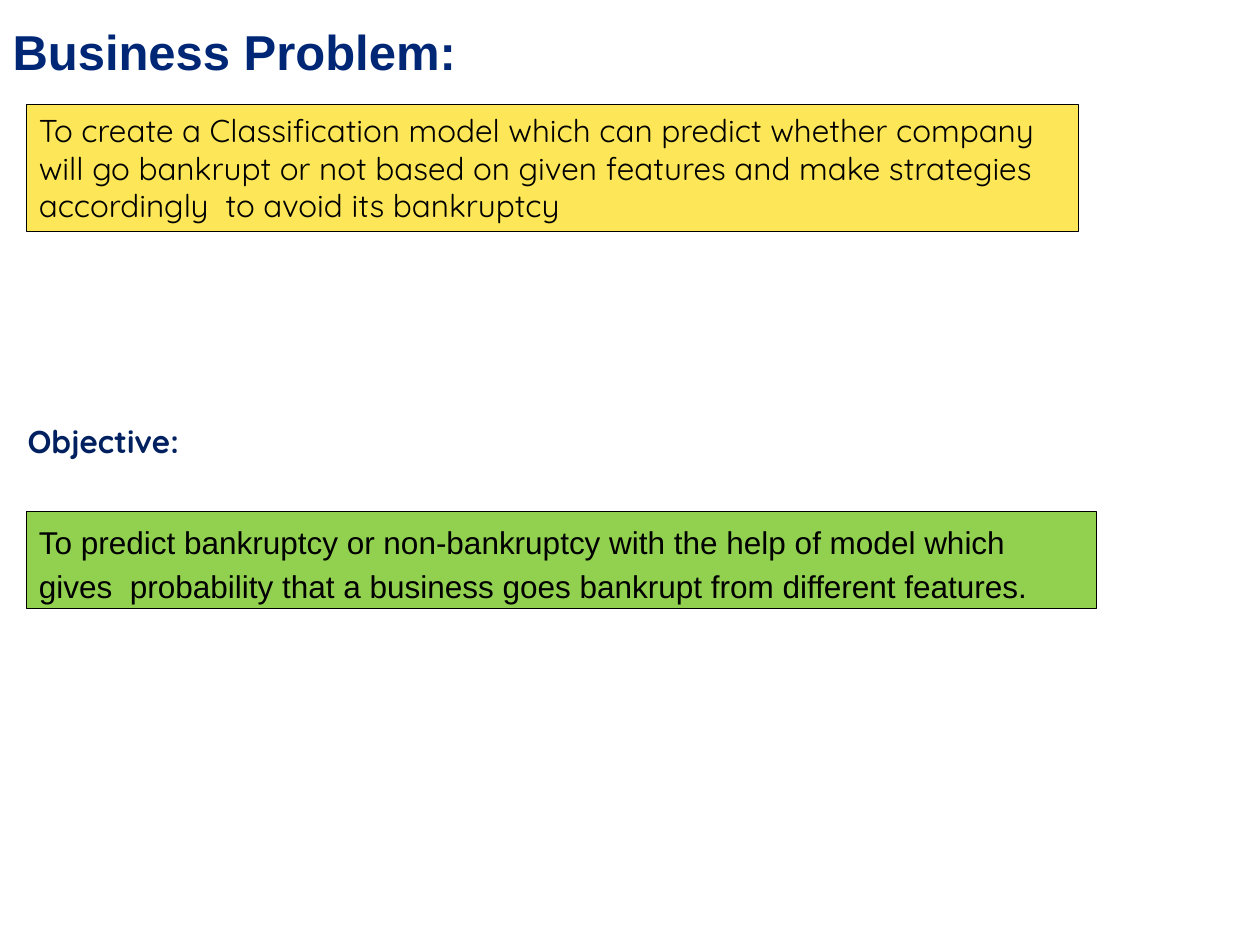
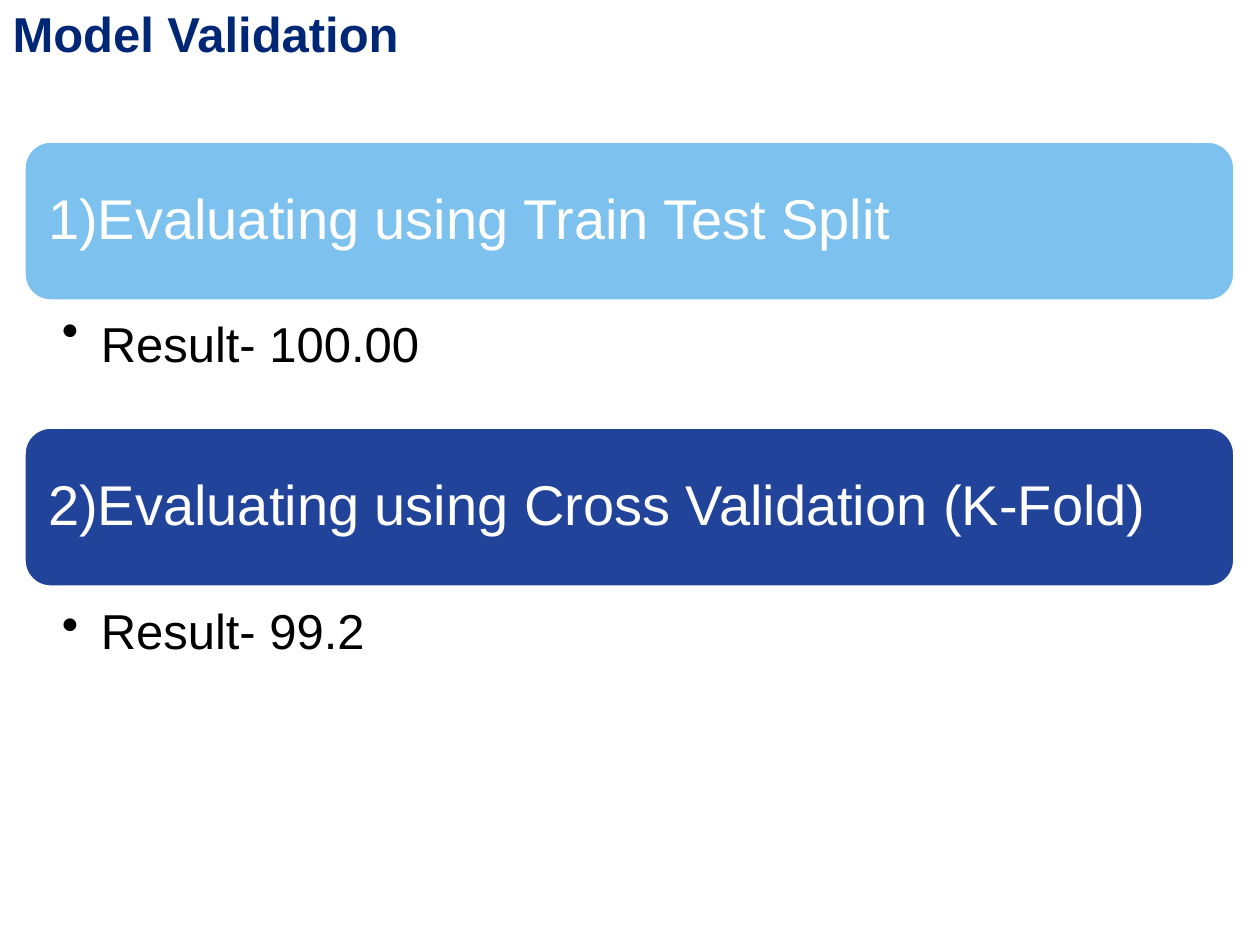
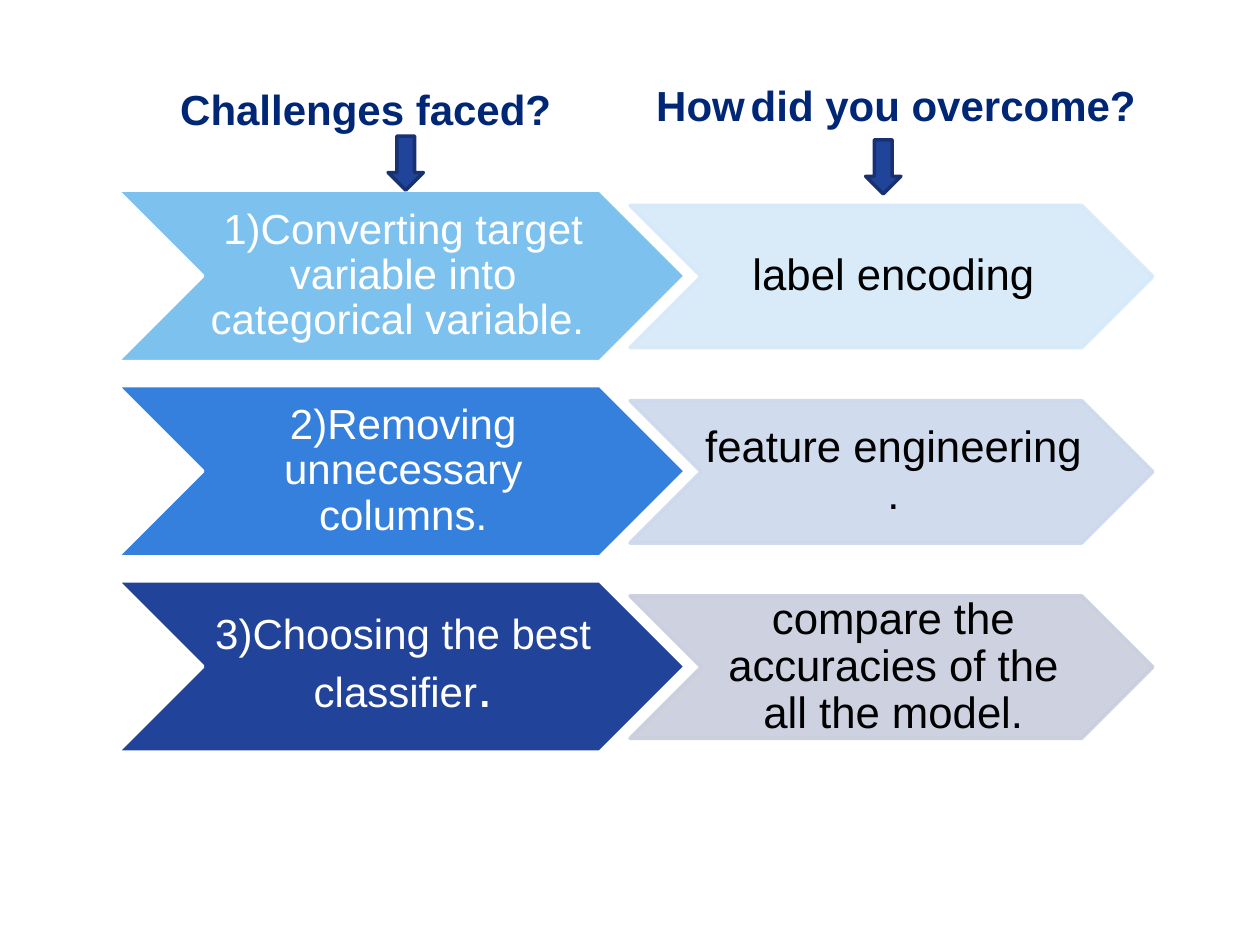
from dataclasses import dataclass

from lxml.etree import SubElement
from pptx import Presentation
from pptx.dml.color import RGBColor
from pptx.enum.shapes import MSO_SHAPE
from pptx.enum.text import MSO_ANCHOR, MSO_AUTO_SIZE, PP_ALIGN
from pptx.oxml.ns import qn
from pptx.util import Inches, Pt


@dataclass(frozen=True)
class Theme:
    font: str = "Arial"
    accent_font: str = "Quicksand"
    heading: str = "002776"
    subheading: str = "002060"
    black: str = "000000"
    white: str = "FFFFFF"
    yellow: str = "FDE657"
    green: str = "92D050"
    sky: str = "7DC1EF"
    blue: str = "357FDD"
    navy: str = "214399"
    pale_sky: str = "D5E9F9"
    pale_blue: str = "CDD8ED"
    pale_navy: str = "C9CDDD"
    arrow: str = "21449B"
    arrow_edge: str = "183171"
    title_size: int = 28
    column_size: int = 24
    note_size: int = 18
    band_size: int = 32
    result_size: int = 28
    answer_size: int = 25
    thin: float = 0.75
    thick: float = 2


THEME = Theme()
TEXT_INSETS = (0.1, 0.05, 0.1, 0.05)
BAND_INSETS = (0.13, 0.13, 0.13, 0.13)
RESULT_INSETS = (0.3, 0.04, 0.22, 0.04)
CHEVRON_INSETS = (0.03, 0.02, 0, 0.02)


class Deck:
    def __init__(self, theme):
        self.theme = theme
        self.presentation = Presentation()
        self.presentation.slide_width = Inches(10)
        self.presentation.slide_height = Inches(7.5)
        self.slide = None

    def title_slide(self, title, box, size):
        """Start a slide whose title placeholder is moved to box."""
        layout = self.presentation.slide_layouts[5]
        self.slide = self.presentation.slides.add_slide(layout)
        heading = self.slide.shapes.title
        heading.left, heading.top, heading.width, heading.height = map(Inches, box)
        self.add_text(heading, [(title, size)], self.theme.heading, bold=True)

    def add_text(self, holder, runs, color, font=None, bold=False, insets=TEXT_INSETS,
                 anchor=MSO_ANCHOR.TOP, align=PP_ALIGN.LEFT, spacing=None):
        """Fill a shape with one paragraph of (text, size) runs."""
        frame = holder.text_frame
        frame.word_wrap = True
        frame.auto_size = MSO_AUTO_SIZE.NONE
        frame.vertical_anchor = anchor
        (frame.margin_left, frame.margin_top,
         frame.margin_right, frame.margin_bottom) = map(Inches, insets)
        paragraph = frame.paragraphs[0]
        paragraph.alignment = align
        if spacing:
            paragraph.line_spacing = spacing
        for text, size in runs:
            run = paragraph.add_run()
            run.text = text
            run.font.name = font or self.theme.font
            run.font.size = Pt(size)
            run.font.bold = bold
            run.font.color.rgb = RGBColor.from_string(color)
        return paragraph

    def label(self, box, runs, color, **style):
        holder = self.slide.shapes.add_textbox(*map(Inches, box))
        return self.add_text(holder, runs, color, **style)

    def shape(self, kind, box, fill, line, width, adjustment=None, opacity=None):
        outline = self.slide.shapes.add_shape(kind, *map(Inches, box))
        outline.shadow.inherit = False
        outline.fill.solid()
        outline.fill.fore_color.rgb = RGBColor.from_string(fill)
        outline.line.color.rgb = RGBColor.from_string(line)
        outline.line.width = Pt(width)
        if adjustment is not None:
            outline.adjustments[0] = adjustment
        if opacity is not None:
            for color in outline.element.spPr.iter(qn("a:srgbClr")):
                SubElement(color, qn("a:alpha"), val=str(opacity * 1000))
        return outline

    def note(self, box, text, fill, **style):
        panel = self.shape(MSO_SHAPE.RECTANGLE, box, fill,
                           self.theme.black, self.theme.thin)
        self.add_text(panel, [(text, self.theme.note_size)], self.theme.black, **style)

    def band(self, top, text, fill):
        panel = self.shape(MSO_SHAPE.ROUNDED_RECTANGLE, (0.19, top, 9.61, 1.27), fill,
                           self.theme.white, self.theme.thick, adjustment=0.167)
        self.add_text(panel, [(text, self.theme.band_size)], self.theme.white,
                      insets=BAND_INSETS, anchor=MSO_ANCHOR.MIDDLE, spacing=0.9)

    def bullet(self, top, runs):
        paragraph = self.label((0.19, top, 9.61, 1.12), runs, self.theme.black,
                               insets=RESULT_INSETS, spacing=0.9)
        properties = paragraph._p.get_or_add_pPr()
        properties.set("marL", str(Inches(0.31)))
        properties.set("indent", str(-Inches(0.31)))
        SubElement(properties, qn("a:buChar"), char="•")

    def chevron(self, box, runs, fill, line, color, opacity=None):
        step = self.shape(MSO_SHAPE.CHEVRON, box, fill, line, self.theme.thick,
                          adjustment=0.5, opacity=opacity)
        self.add_text(step, runs, color, insets=CHEVRON_INSETS, spacing=0.9,
                      anchor=MSO_ANCHOR.MIDDLE, align=PP_ALIGN.CENTER)

    def down_arrow(self, left, top):
        self.shape(MSO_SHAPE.DOWN_ARROW, (left, top, 0.28, 0.43), self.theme.arrow,
                   self.theme.arrow_edge, self.theme.thick)


def add_problem(deck):
    theme = deck.theme
    deck.title_slide("Business Problem:", (0, 0.12, 3.84, 0.57), theme.title_size)
    deck.note((0.21, 0.83, 8.35, 1.01),
              "To create a Classification model which can predict whether company will go "
              "bankrupt or not based on given features and make strategies accordingly  "
              "to avoid its bankruptcy", theme.yellow, font=theme.accent_font)
    deck.label((0.12, 3.3, 2.81, 0.4), [("Objective:", theme.note_size)],
               theme.subheading, font=theme.accent_font, bold=True)
    deck.note((0.21, 4.06, 8.49, 0.77),
              "To predict bankruptcy or non-bankruptcy with the help of model which gives  "
              "probability that a business goes bankrupt from different features.",
              theme.green, spacing=1.15)


def add_validation(deck):
    theme = deck.theme
    deck.title_slide("Model Validation", (0, -0.02, 4.84, 0.57), theme.title_size)
    evaluations = [
        (1.12, "1)Evaluating using Train Test Split", theme.sky,
         2.39, [("Result- 100.00", theme.result_size), (" ", 37)]),
        (3.39, "2)Evaluating using Cross Validation (K-Fold)", theme.navy,
         4.78, [("Result- 99.2", theme.result_size)]),
    ]
    for band_top, method, fill, result_top, result in evaluations:
        deck.band(band_top, method, fill)
        deck.bullet(result_top, result)


def add_challenges(deck):
    theme = deck.theme
    size = theme.column_size
    deck.title_slide("Challenges faced?", (1.33, 0.61, 3.79, 0.5), size)
    deck.label((5.11, 0.58, 4.68, 0.71),
               [("How", size), (" ", 12), ("did you overcome?", size)],
               theme.heading, bold=True)
    steps = [
        ([("1)Converting target variable into categorical variable. ", size)],
         theme.sky, "label encoding", theme.pale_sky),
        ([("2)Removing unnecessary columns.", size)],
         theme.blue, "feature engineering .", theme.pale_blue),
        ([("3)Choosing the best classifier", size), (".", 32)],
         theme.navy, "compare the accuracies of the all the model.", theme.pale_navy),
    ]
    for row, (challenge, fill, answer, pale) in enumerate(steps):
        top = 1.51 + row * 1.55
        deck.chevron((0.93, top, 4.51, 1.36), challenge, fill, theme.white, theme.white)
        deck.chevron((5, top + 0.12, 4.15, 1.13), [(answer, theme.answer_size)],
                     pale, pale, theme.black, opacity=90)
    deck.down_arrow(3.08, 1.08)
    deck.down_arrow(6.87, 1.11)


def main():
    deck = Deck(THEME)
    add_problem(deck)
    add_validation(deck)
    add_challenges(deck)
    deck.presentation.save("out.pptx")


if __name__ == "__main__":
    main()
